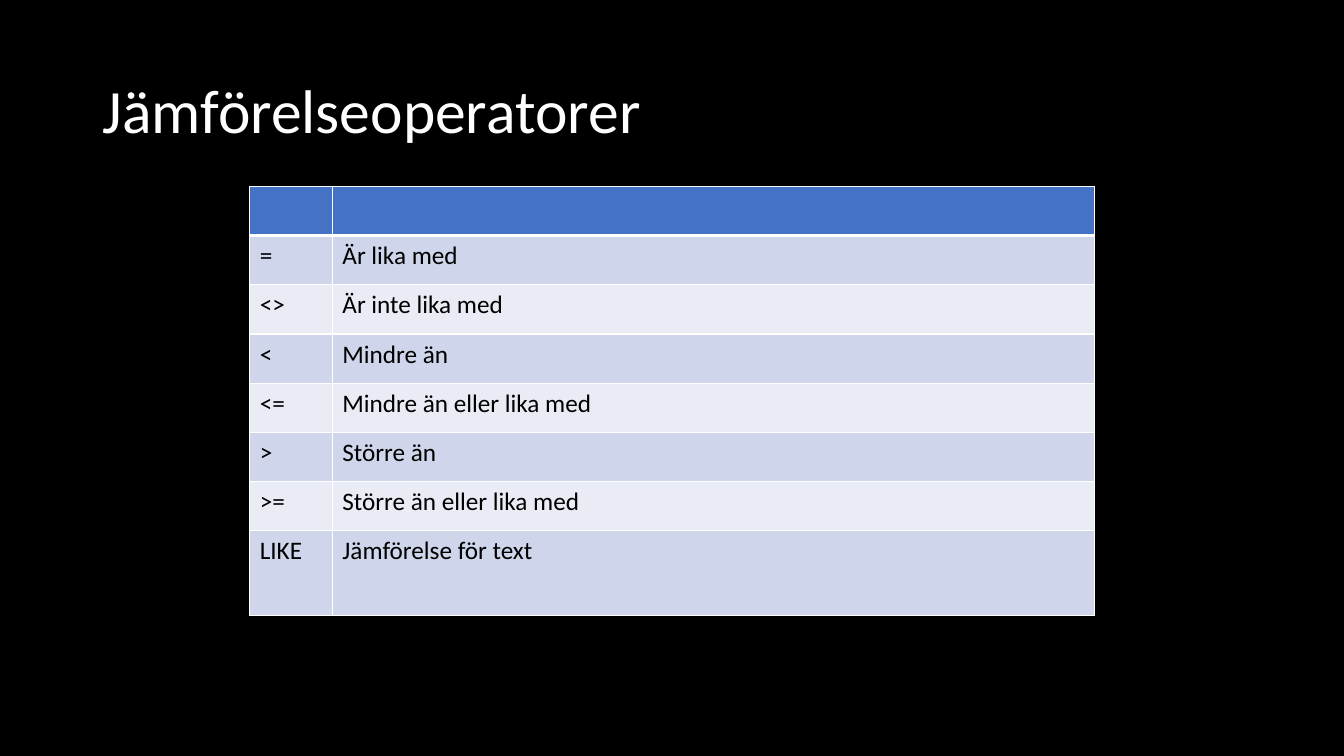
from dataclasses import dataclass

from lxml import etree
from pptx import Presentation
from pptx.dml.color import RGBColor
from pptx.enum.text import MSO_ANCHOR, MSO_AUTO_SIZE, PP_ALIGN
from pptx.oxml.ns import qn
from pptx.util import Pt

MIDDLE = MSO_ANCHOR.MIDDLE
LEFT = PP_ALIGN.LEFT
NO_AUTOFIT = MSO_AUTO_SIZE.NONE
TITLE_ONLY = 5


@dataclass(frozen=True)
class Theme:
    font: str = "Calibri"
    title_size: int = 44
    cell_size: int = 18
    background: str = "000000"
    title: str = "FFFFFF"
    text: str = "000000"
    border: str = "FFFFFF"
    header: str = "4472C4"
    bands: tuple = ("CFD5EA", "E9EBF5")


THEME = Theme()


def write(frame, text, size, color):
    frame.text = text
    para = frame.paragraphs[0]
    para.alignment = LEFT
    font = para.runs[0].font
    for name, value in {"name": THEME.font, "size": Pt(size), "bold": False}.items():
        setattr(font, name, value)
    font.color.rgb = RGBColor.from_string(color)


def add_borders(cell, widths):
    """Draw cell borders; widths maps L, R, T, B, in that order, to points."""
    properties = cell._tc.get_or_add_tcPr()
    for position, (side, width) in enumerate(widths.items()):
        line = etree.Element(qn(f"a:ln{side}"), w=str(Pt(width)))
        fill = etree.SubElement(line, qn("a:solidFill"))
        etree.SubElement(fill, qn("a:srgbClr"), val=THEME.border)
        properties.insert(position, line)


deck = Presentation()
deck.slide_width, deck.slide_height = Pt(960), Pt(540)
page = deck.slides.add_slide(deck.slide_layouts[TITLE_ONLY])
page.background.fill.solid()
page.background.fill.fore_color.rgb = RGBColor.from_string(THEME.background)

title = page.shapes.title
title_place = {"left": 66, "top": 28.75, "width": 828, "height": 104.4}
for name, value in title_place.items():
    setattr(title, name, Pt(value))
write(title.text_frame, "Jämförelseoperatorer", THEME.title_size, THEME.title)
title_format = {"vertical_anchor": MIDDLE, "word_wrap": True, "auto_size": NO_AUTOFIT}
for name, value in title_format.items():
    setattr(title.text_frame, name, value)
title.text_frame.paragraphs[0].line_spacing = 0.9

rows = [
    ("", ""),
    ("=", "Är lika med"),
    ("<>", "Är inte lika med"),
    ("<", "Mindre än"),
    ("<=", "Mindre än eller lika med"),
    (">", "Större än"),
    (">=", "Större än eller lika med"),
    ("LIKE", "Jämförelse för text"),
]
column_widths = [59, 544.5]
row_heights = [35.15] * (len(rows) - 1) + [60.5]

table = page.shapes.add_table(
    len(rows), len(column_widths), Pt(178.4), Pt(133.15),
    Pt(sum(column_widths)), Pt(sum(row_heights)),
).table
for column, width in zip(table.columns, column_widths):
    column.width = Pt(width)

for index, (texts, height) in enumerate(zip(rows, row_heights)):
    table.rows[index].height = Pt(height)
    color = THEME.bands[(index - 1) % 2] if index else THEME.header
    borders = {"L": 1, "R": 1, "T": 3 if index == 1 else 1, "B": 1 if index else 3}
    for cell, text in zip(table.rows[index].cells, texts):
        cell.fill.solid()
        cell.fill.fore_color.rgb = RGBColor.from_string(color)
        add_borders(cell, borders)
        if text:
            write(cell.text_frame, text, THEME.cell_size, THEME.text)

deck.save("out.pptx")
